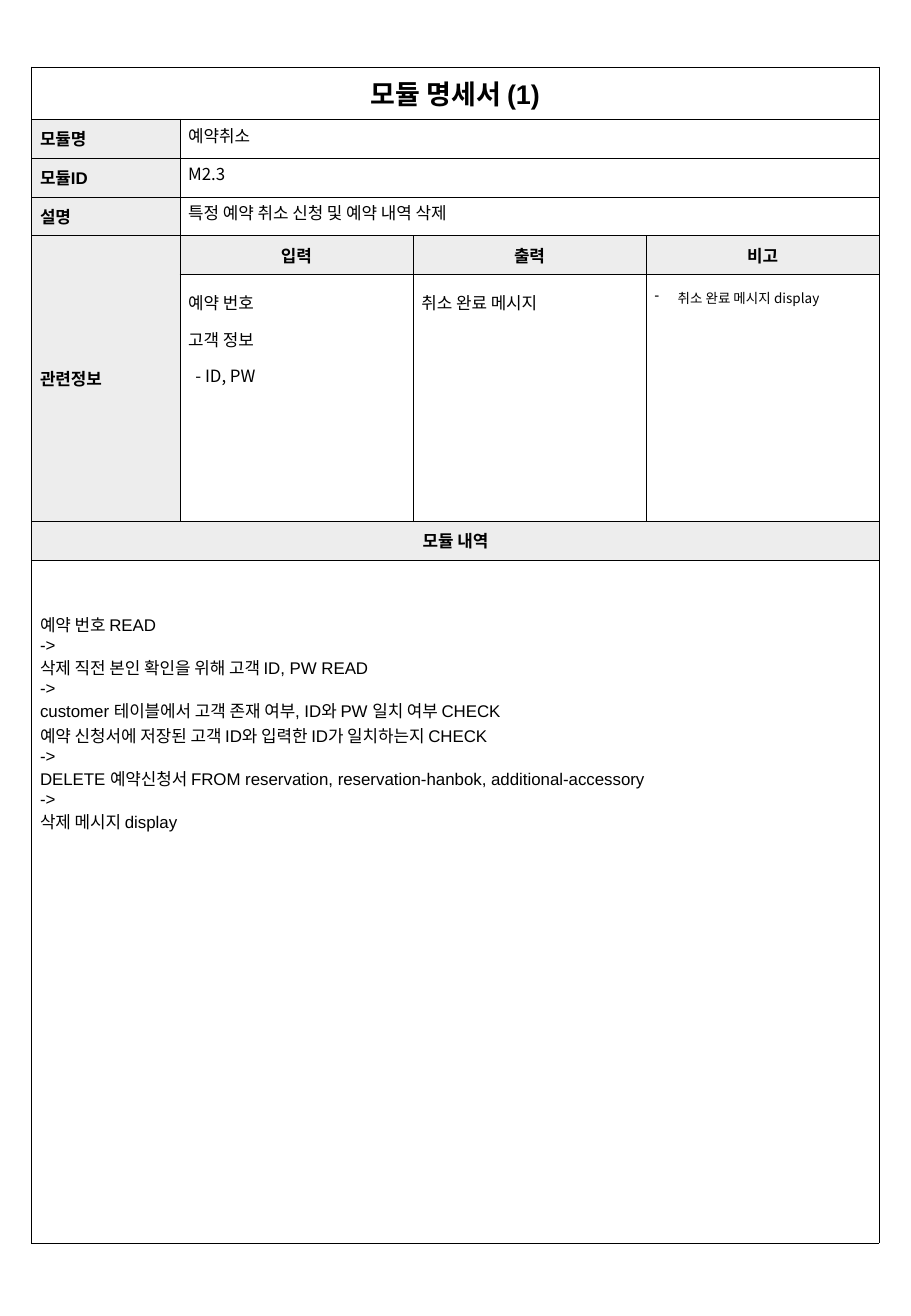
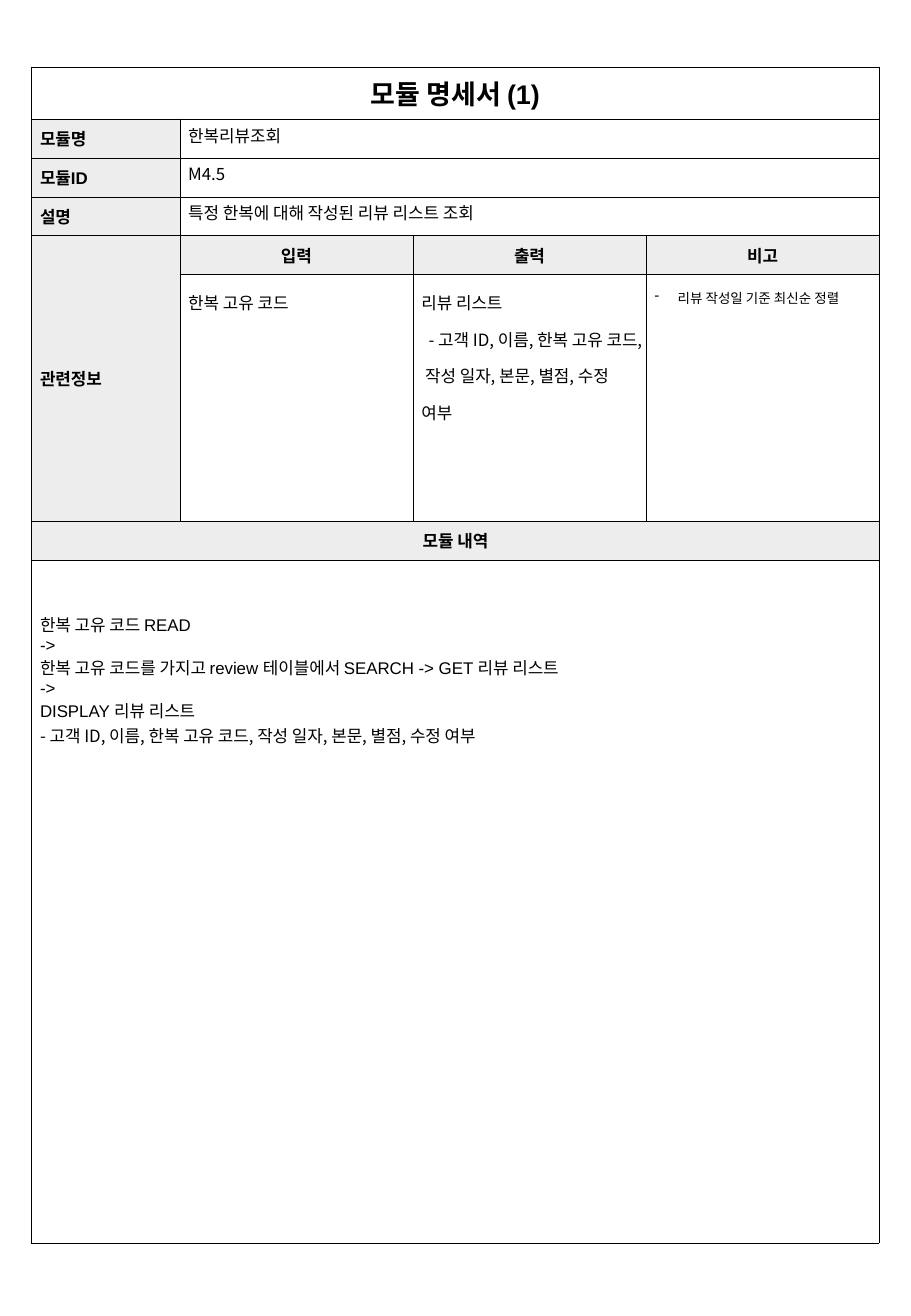
from lxml.etree import SubElement
from pptx import Presentation
from pptx.dml.color import RGBColor
from pptx.enum.text import MSO_ANCHOR, PP_ALIGN
from pptx.oxml.ns import qn
from pptx.util import Inches, Pt

BLACK, WHITE, GRAY = "000000", "FFFFFF", "EDEDED"
SANS, KOREAN = "Arial", "Noto Sans CJK KR"
TITLE = "모듈 명세서 (1)"
LABELS = ["모듈명", "모듈ID", "설명"]
HEADS = ["입력", "출력", "비고"]
COLS = [1.22, 1.92, 1.92, 1.92]
ROWS = [0.43, 0.32, 0.32, 0.32, 0.32, 2.03, 0.32, 5.62]

FIELDS = "- 고객 ID, 이름, 한복 고유 코드, 작성 일자, 본문, 별점, 수정 여부"

MODULES = [
    {
        "values": ["예약취소", "M2.3", "특정 예약 취소 신청 및 예약 내역 삭제"],
        "input": ["예약 번호", "고객 정보", "- ID, PW"],
        "output": ["취소 완료 메시지"],
        "note": ["취소 완료 메시지 display"],
        "steps": [
            "예약 번호 READ",
            "->",
            "삭제 직전 본인 확인을 위해 고객 ID, PW READ",
            "->",
            "customer 테이블에서 고객 존재 여부, ID와 PW 일치 여부 CHECK",
            "예약 신청서에 저장된 고객 ID와 입력한 ID가 일치하는지 CHECK",
            "->",
            "DELETE 예약신청서 FROM reservation, reservation-hanbok, additional-accessory",
            "->",
            "삭제 메시지 display",
        ],
    },
    {
        "values": ["한복리뷰조회", "M4.5", "특정 한복에 대해 작성된 리뷰 리스트 조회"],
        "input": ["한복 고유 코드"],
        "output": ["리뷰 리스트", FIELDS],
        "note": ["리뷰 작성일 기준 최신순 정렬"],
        "steps": [
            "한복 고유 코드 READ",
            "->",
            "한복 고유 코드를 가지고 review 테이블에서 SEARCH -> GET 리뷰 리스트",
            "->",
            "DISPLAY 리뷰 리스트",
            FIELDS,
        ],
    },
]

BASE = {"size": 10, "font": SANS, "bold": False, "fill": WHITE, "top": 0.03,
        "align": PP_ALIGN.LEFT, "anchor": MSO_ANCHOR.TOP,
        "spacing": None, "indent": 0, "bullet": False}
LABEL = BASE | {"bold": True, "fill": GRAY, "anchor": MSO_ANCHOR.MIDDLE}
HEAD = LABEL | {"align": PP_ALIGN.CENTER}
HEADING = HEAD | {"size": 16, "fill": WHITE}
VALUE = BASE | {"font": KOREAN}
DETAIL = VALUE | {"spacing": 1.5, "indent": 0.06}
NOTE = DETAIL | {"size": 8, "bullet": True}
STEPS = BASE | {"top": 0.43}


def color(code):
    return RGBColor.from_string(code)


def border(cell):
    props = cell._tc.get_or_add_tcPr()
    for side in ("a:lnL", "a:lnR", "a:lnT", "a:lnB"):
        line = SubElement(props, qn(side), w=str(Pt(0.25)))
        fill = SubElement(line, qn("a:solidFill"))
        SubElement(fill, qn("a:srgbClr"), val=BLACK)


def format_para(para, text, style):
    """Fill one paragraph; a line starting with a dash takes the style's indent."""
    props = para._p.get_or_add_pPr()
    if style["bullet"]:
        props.set("marL", str(Inches(0.19)))
        props.set("indent", str(-Inches(0.19)))
        SubElement(props, qn("a:buChar"), char="-")
    elif text.startswith("- "):
        props.set("indent", str(Inches(style["indent"])))
    para.alignment = style["align"]
    para.line_spacing = style["spacing"]
    run = para.add_run()
    run.text = text
    name = KOREAN if text == FIELDS else style["font"]
    looks = {"size": Pt(style["size"]), "bold": style["bold"], "name": name}
    for key, value in looks.items():
        setattr(run.font, key, value)
    run.font.color.rgb = color(BLACK)
    SubElement(run._r.get_or_add_rPr(), qn("a:ea"), typeface=KOREAN)


def fill_cell(cell, lines, style):
    margins = {"left": 0.07, "right": 0.07, "top": style["top"], "bottom": 0.03}
    for side, size in margins.items():
        setattr(cell, f"margin_{side}", Inches(size))
    cell.vertical_anchor = style["anchor"]
    cell.fill.solid()
    cell.fill.fore_color.rgb = color(style["fill"])
    frame = cell.text_frame
    for index, text in enumerate(lines):
        para = frame.add_paragraph() if index else frame.paragraphs[0]
        format_para(para, text, style)


def lay_out(module):
    """List (row, column, last row, last column, lines, style) for each cell."""
    cells = [(0, 0, 0, 3, [TITLE], HEADING)]
    for row, (label, value) in enumerate(zip(LABELS, module["values"]), 1):
        cells += [(row, 0, row, 0, [label], LABEL),
                  (row, 1, row, 3, [value], VALUE)]
    cells.append((4, 0, 5, 0, ["관련정보"], LABEL))
    details = [("input", DETAIL), ("output", DETAIL), ("note", NOTE)]
    for col, (head, (key, style)) in enumerate(zip(HEADS, details), 1):
        cells += [(4, col, 4, col, [head], HEAD),
                  (5, col, 5, col, module[key], style)]
    cells += [(6, 0, 6, 3, ["모듈 내역"], HEAD),
              (7, 0, 7, 3, module["steps"], STEPS)]
    return cells


def add_module(slide, module):
    table = slide.shapes.add_table(
        len(ROWS), len(COLS), Inches(0.26), Inches(0.55),
        Inches(sum(COLS)), Inches(sum(ROWS))).table
    table.first_row = table.horz_banding = False
    for col, width in zip(table.columns, COLS):
        col.width = Inches(width)
    for row, height in zip(table.rows, ROWS):
        row.height = Inches(height)
    for cell in table.iter_cells():
        border(cell)
    for top, left, bottom, right, lines, style in lay_out(module):
        cell = table.cell(top, left)
        if (top, left) != (bottom, right):
            cell.merge(table.cell(bottom, right))
        fill_cell(cell, lines, style)


def main():
    deck = Presentation()
    deck.slide_width, deck.slide_height = Inches(7.5), Inches(10.83)
    for module in MODULES:
        add_module(deck.slides.add_slide(deck.slide_layouts[6]), module)
    deck.save("out.pptx")


if __name__ == "__main__":
    main()
